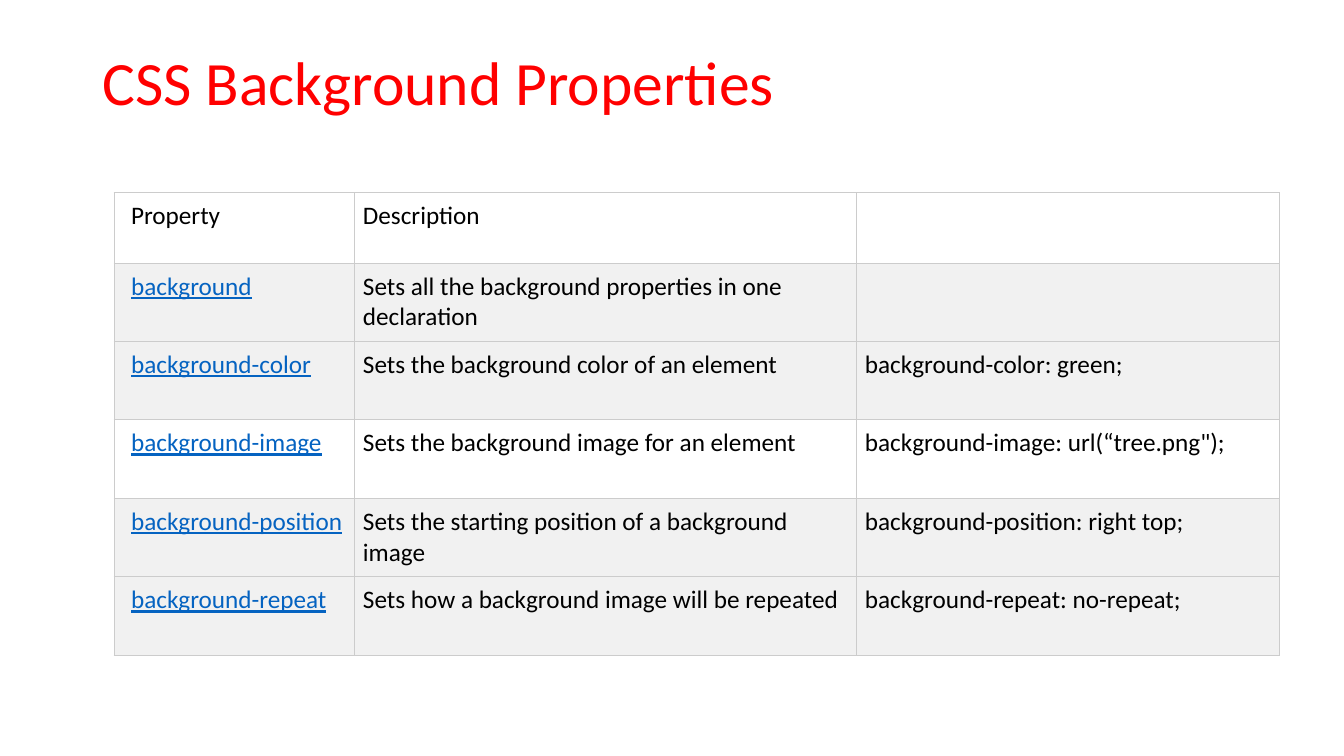
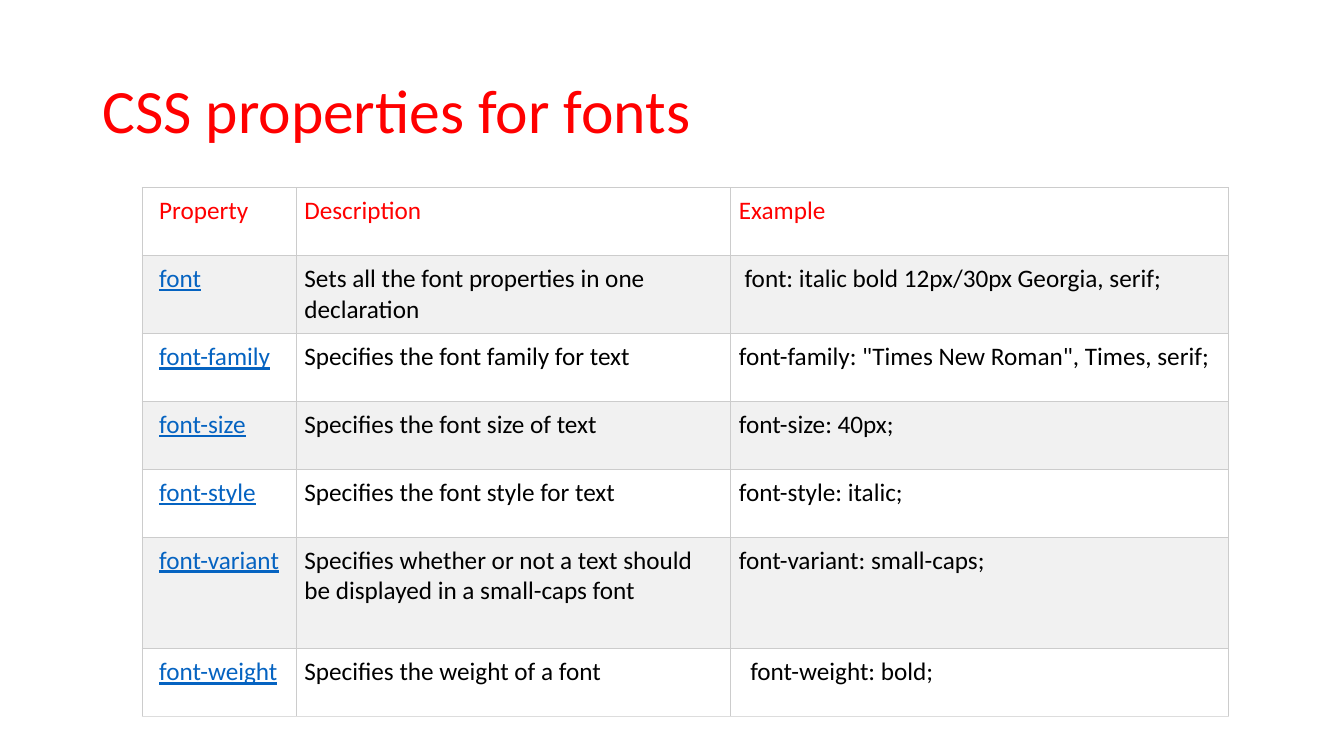
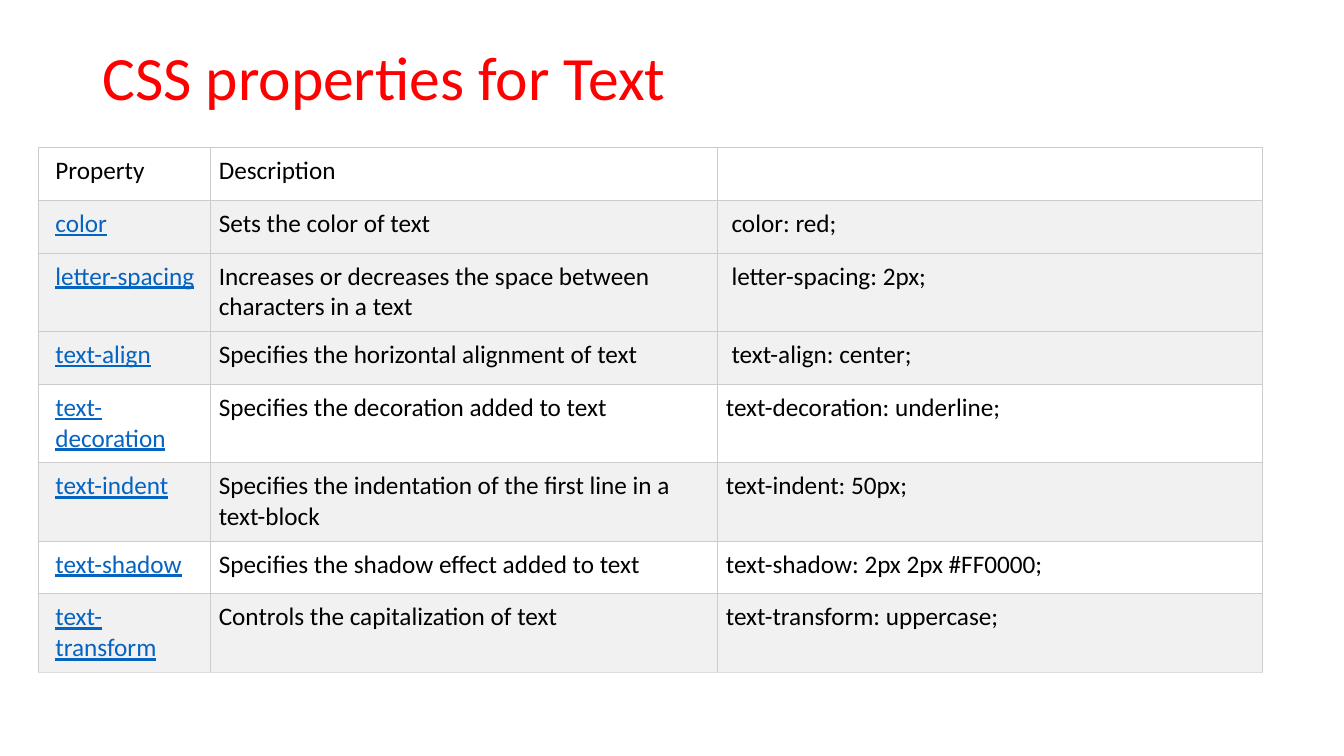
from dataclasses import dataclass

from lxml.etree import SubElement
from pptx import Presentation
from pptx.dml.color import RGBColor
from pptx.enum.text import MSO_ANCHOR
from pptx.oxml.ns import qn
from pptx.util import Emu, Inches, Pt

# Shared style
WIDTH, HEIGHT = Inches(13.33), Inches(7.5)
FONT = "Calibri"
RED, BLACK, LINK = "FF0000", "000000", "0563C1"
WHITE, SHADE = "FFFFFF", "F1F1F1"
RULE, LAST_RULE = "CCCCCC", "DDDDDD"
RULE_WIDTH = Pt(0.75)
CELL_PAD, FIRST_PAD = Inches(0.08), Inches(0.17)

# Shares of the slide, in percent
TITLE_LEFT, TITLE_TOP, TITLE_WIDTH = 6.88, 5.33, 86.25
TWO_LINES = 10.37


@dataclass
class Row:
    name: str
    description: str
    example: str = ""
    shaded: bool = True
    height: float | None = None


@dataclass
class PropertySlide:
    title: str
    title_height: float
    left: float
    top: float
    columns: tuple[float, ...]
    row_height: float
    rows: list[Row]
    header_color: str = BLACK
    last_rule: str = RULE


def across(percent: float) -> Emu:
    return Emu(round(WIDTH * percent / 100))


def down(percent: float) -> Emu:
    return Emu(round(HEIGHT * percent / 100))


def rgb(code: str) -> RGBColor:
    return RGBColor.from_string(code)


def style_text(frame, size: int, color: str, underline: bool = False) -> None:
    for paragraph in frame.paragraphs:
        for run in paragraph.runs:
            run.font.name = FONT
            run.font.size = Pt(size)
            run.font.color.rgb = rgb(color)
            run.font.underline = underline


def add_title(slide, text: str, height: float) -> None:
    box = slide.shapes.add_textbox(across(TITLE_LEFT), down(TITLE_TOP),
                                   across(TITLE_WIDTH), down(height))
    frame = box.text_frame
    frame.word_wrap = True
    frame.vertical_anchor = MSO_ANCHOR.MIDDLE
    frame.text = text
    frame.paragraphs[0].line_spacing = 0.9
    style_text(frame, 44, RED)


def set_borders(cell, bottom: str) -> None:
    properties = cell._tc.get_or_add_tcPr()
    for side, color in (("L", RULE), ("R", RULE), ("T", RULE), ("B", bottom)):
        line = SubElement(properties, qn(f"a:ln{side}"), w=str(RULE_WIDTH))
        fill = SubElement(line, qn("a:solidFill"))
        SubElement(fill, qn("a:srgbClr"), val=color)


def fill_cell(cell, text: str, color: str, background: str, bottom: str,
              first: bool, link: bool) -> None:
    set_borders(cell, bottom)
    cell.fill.solid()
    cell.fill.fore_color.rgb = rgb(background)
    cell.margin_left = FIRST_PAD if first else CELL_PAD
    cell.margin_top = cell.margin_right = cell.margin_bottom = CELL_PAD
    cell.text_frame.text = text
    style_text(cell.text_frame, 18, color, link)


def add_property_table(slide, content: PropertySlide) -> None:
    heights = [row.height or content.row_height for row in content.rows]
    table = slide.shapes.add_table(
        len(content.rows), len(content.columns),
        across(content.left), down(content.top),
        across(sum(content.columns)), down(sum(heights))).table
    table.first_row = table.horz_banding = False
    for column, width in zip(table.columns, content.columns):
        column.width = across(width)

    last = len(content.rows) - 1
    for r, (row, height) in enumerate(zip(content.rows, heights)):
        table.rows[r].height = down(height)
        for c, text in enumerate((row.name, row.description, row.example)):
            link = r > 0 and c == 0
            color = LINK if link else BLACK if r else content.header_color
            fill_cell(table.cell(r, c), text, color,
                      SHADE if row.shaded else WHITE,
                      content.last_rule if r == last else RULE, c == 0, link)


# Slide content
BACKGROUNDS = PropertySlide(
    "CSS Background Properties", 11.87, 8.48, 25.47,
    (17.93, 37.35, 31.43), TWO_LINES, [
        Row("Property", "Description", shaded=False, height=9.33),
        Row("background", "Sets all the background properties in one declaration"),
        Row("background-color", "Sets the background color of an element",
            "background-color: green;"),
        Row("background-image", "Sets the background image for an element",
            "background-image: url(“tree.png\");", shaded=False),
        Row("background-position", "Sets the starting position of a background image",
            "background-position: right top;"),
        Row("background-repeat", "Sets how a background image will be repeated",
            "background-repeat: no-repeat;"),
    ])

FONTS = PropertySlide(
    "CSS properties for fonts", 19.33, 10.57, 24.8,
    (11.48, 32.33, 37.05), 8.97, [
        Row("Property", "Description", "Example", shaded=False),
        Row("font", "Sets all the font properties in one declaration",
            " font: italic bold 12px/30px Georgia, serif;", height=TWO_LINES),
        Row("font-family", "Specifies the font family for text",
            "font-family: \"Times New Roman\", Times, serif;", shaded=False),
        Row("font-size", "Specifies the font size of text", "font-size: 40px;"),
        Row("font-style", "Specifies the font style for text",
            "font-style: italic;", shaded=False),
        Row("font-variant",
            "Specifies whether or not a text should be displayed in a small-caps font",
            "font-variant: small-caps;", height=14.8),
        Row("font-weight", "Specifies the weight of a font",
            "  font-weight: bold;", shaded=False),
    ], header_color=RED, last_rule=LAST_RULE)

TEXT = PropertySlide(
    "CSS properties for Text", 10.67, 2.85, 19.47,
    (12.83, 37.73, 40.5), 7, [
        Row("Property", "Description", shaded=False),
        Row("color", "Sets the color of text", " color: red;"),
        Row("letter-spacing",
            "Increases or decreases the space between characters in a text",
            " letter-spacing: 2px;", height=TWO_LINES),
        Row("text-align", "Specifies the horizontal alignment of text",
            " text-align: center;"),
        Row("text-decoration", "Specifies the decoration added to text",
            "text-decoration: underline;", shaded=False, height=TWO_LINES),
        Row("text-indent",
            "Specifies the indentation of the first line in a text-block",
            "text-indent: 50px;", height=TWO_LINES),
        Row("text-shadow", "Specifies the shadow effect added to text",
            "text-shadow: 2px 2px #FF0000;", shaded=False),
        Row("text-transform", "Controls the capitalization of text",
            "text-transform: uppercase;", height=TWO_LINES),
    ], last_rule=LAST_RULE)


def main() -> None:
    deck = Presentation()
    deck.slide_width, deck.slide_height = WIDTH, HEIGHT
    blank = deck.slide_layouts[6]
    for content in (BACKGROUNDS, FONTS, TEXT):
        slide = deck.slides.add_slide(blank)
        add_title(slide, content.title, content.title_height)
        add_property_table(slide, content)
    deck.save("out.pptx")


if __name__ == "__main__":
    main()
